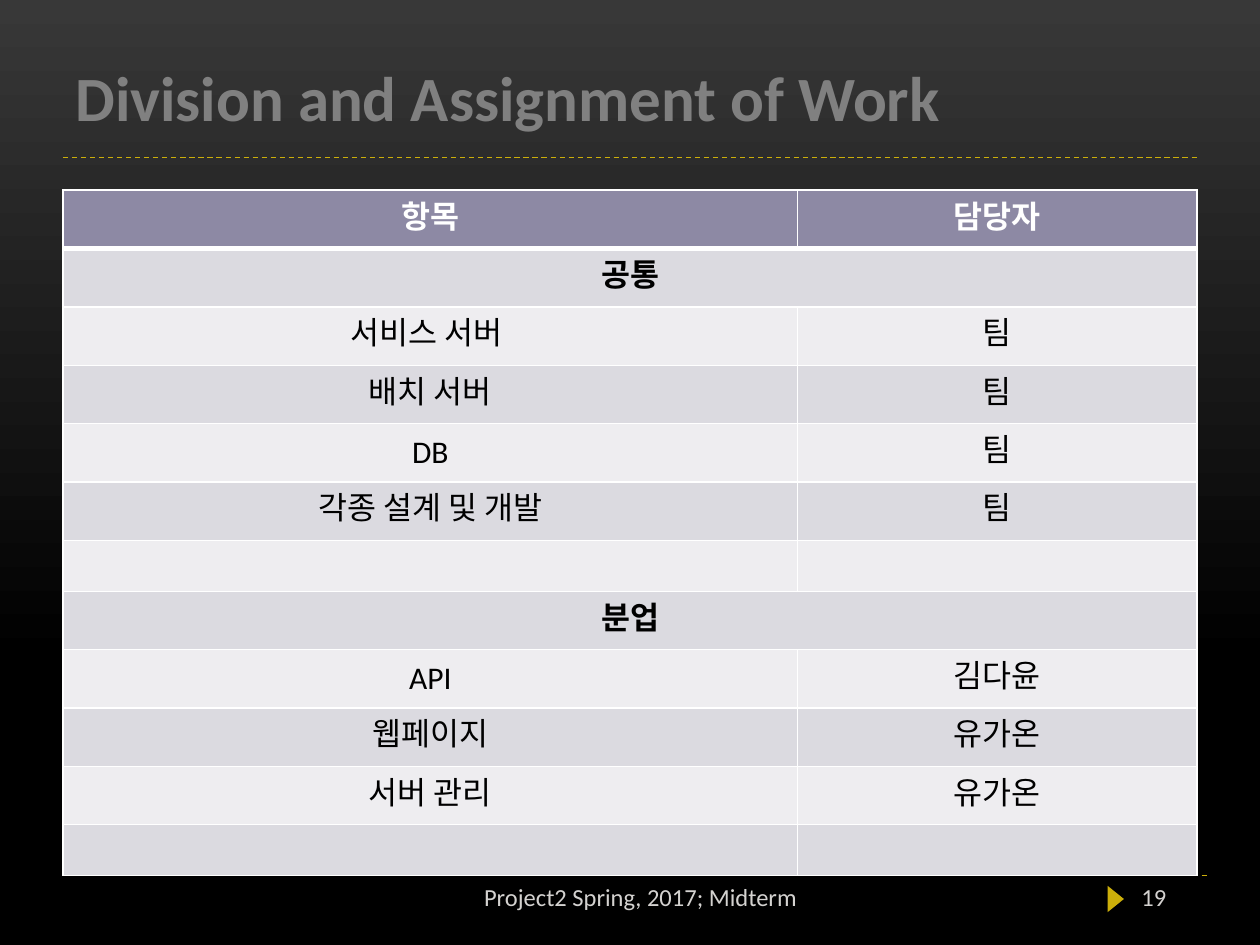
from dataclasses import dataclass

from lxml.etree import SubElement
from pptx import Presentation
from pptx.dml.color import RGBColor
from pptx.enum.dml import MSO_LINE
from pptx.enum.shapes import MSO_CONNECTOR, MSO_SHAPE
from pptx.enum.text import MSO_ANCHOR, PP_ALIGN
from pptx.oxml import parse_xml
from pptx.oxml.ns import nsdecls, qn
from pptx.util import Inches, Pt


@dataclass(frozen=True)
class Theme:
    font: str = "Calibri"
    title_size: int = 36
    cell_size: int = 18
    footer_size: int = 14
    title: str = "808080"
    footer: str = "D4D2D0"
    accent: str = "CCAF0A"
    header_fill: str = "8D89A4"
    bands: tuple = ("EEEDF0", "DBDAE0")
    light: str = "FFFFFF"
    dark: str = "000000"
    backdrop: tuple = ((0, "000000"), (30, "000000"), (100, "383838"))


THEME = Theme()
WIDTH, HEIGHT = 10, 7.5
MARGIN = 0.5
CONTENT = WIDTH - 2 * MARGIN
FOOTER_TOP = 6.95
TABLE_TOP = 1.51
TEXT_ROW = 0.463
EMPTY_ROW = 0.405
COLUMNS = (5.83, 3.17)
ASSIGNMENTS = (
    ("항목", "담당자"),
    ("공통",),
    ("서비스 서버 ", "팀"),
    ("배치 서버", "팀"),
    ("DB", "팀"),
    ("각종 설계 및 개발", "팀"),
    ("", ""),
    ("분업",),
    ("API", "김다윤"),
    ("웹페이지", "유가온"),
    ("서버 관리", "유가온"),
    ("", ""),
)


def color(value):
    return RGBColor.from_string(value)


def paint_background(page):
    fill = page.background.fill
    fill.gradient()
    fill.gradient_angle = 90
    stops = page.background._cSld.find(".//" + qn("a:gsLst"))
    for stop in list(stops):
        stops.remove(stop)
    for position, value in THEME.backdrop:
        stop = SubElement(stops, qn("a:gs"), pos=str(position * 1000))
        SubElement(stop, qn("a:srgbClr"), val=value)


def style_text(frame, text, size, value, bold=False, align=PP_ALIGN.LEFT):
    para = frame.paragraphs[0]
    para.text = text
    para.alignment = align
    para.font.name = THEME.font
    para.font.size = Pt(size)
    para.font.bold = bold
    para.font.color.rgb = color(value)


def add_text(page, place, text, size, value, anchor=MSO_ANCHOR.TOP, **style):
    frame = page.shapes.add_textbox(*map(Inches, place)).text_frame
    frame.word_wrap = True
    frame.vertical_anchor = anchor
    style_text(frame, text, size, value, **style)


def add_rule(page, left, top):
    ends = map(Inches, (left, top, left + CONTENT, top))
    rule = page.shapes.add_connector(MSO_CONNECTOR.STRAIGHT, *ends)
    rule.line.color.rgb = color(THEME.accent)
    rule.line.width = Pt(0.75)
    rule.line.dash_style = MSO_LINE.DASH
    SubElement(rule._element.spPr, qn("a:effectLst"))


def add_page_marker(page):
    place = map(Inches, (8.75, 7.07, 0.21, 0.13))
    marker = page.shapes.add_shape(MSO_SHAPE.ISOSCELES_TRIANGLE, *place)
    marker.rotation = 90
    marker.shadow.inherit = False
    marker.fill.solid()
    marker.fill.fore_color.rgb = color(THEME.accent)
    marker.line.fill.background()


def set_borders(cell, top, bottom):
    widths = {"lnL": 1, "lnR": 1, "lnT": top, "lnB": bottom}
    properties = cell._tc.get_or_add_tcPr()
    for index, (side, width) in enumerate(widths.items()):
        properties.insert(index, parse_xml(
            f'<a:{side} {nsdecls("a")} w="{Pt(width)}"><a:solidFill>'
            f'<a:srgbClr val="{THEME.light}"/></a:solidFill></a:{side}>'))


def style_cell(cell, row, text, bold):
    header = row == 0
    cell.vertical_anchor = MSO_ANCHOR.MIDDLE
    if text and not text.isascii():
        cell.margin_top, cell.margin_bottom = Inches(0.01), Inches(0.09)
    cell.fill.solid()
    cell.fill.fore_color.rgb = color(
        THEME.header_fill if header else THEME.bands[row % 2])
    set_borders(cell, top=3 if row == 1 else 1, bottom=3 if header else 1)
    style_text(cell.text_frame, text, THEME.cell_size,
               THEME.light if header else THEME.dark, bold, PP_ALIGN.CENTER)


def add_assignment_table(page):
    heights = [TEXT_ROW if any(entries) else EMPTY_ROW
               for entries in ASSIGNMENTS]
    place = (MARGIN, TABLE_TOP, CONTENT, sum(heights))
    table = page.shapes.add_table(
        len(ASSIGNMENTS), len(COLUMNS), *map(Inches, place)).table
    for column, width in zip(table.columns, COLUMNS):
        column.width = Inches(width)
    for row, entries in enumerate(ASSIGNMENTS):
        table.rows[row].height = Inches(heights[row])
        section = len(entries) == 1
        if section:
            table.cell(row, 0).merge(table.cell(row, len(COLUMNS) - 1))
        for column in range(len(COLUMNS)):
            text = entries[column] if column < len(entries) else ""
            style_cell(table.cell(row, column), row, text, section or row == 0)


def main():
    deck = Presentation()
    deck.slide_width, deck.slide_height = Inches(WIDTH), Inches(HEIGHT)
    page = deck.slides.add_slide(deck.slide_layouts[6])
    paint_background(page)
    add_rule(page, MARGIN + 0.08, FOOTER_TOP)
    add_rule(page, MARGIN, HEIGHT / 6)
    add_page_marker(page)
    add_text(page, (MARGIN, 0.4, CONTENT, 0.71),
             "Division and Assignment of Work", THEME.title_size, THEME.title,
             anchor=MSO_ANCHOR.BOTTOM, bold=True)
    add_assignment_table(page)
    add_text(page, (8.96, FOOTER_TOP, 0.75, 0.4), "19",
             THEME.footer_size, THEME.footer)
    add_text(page, (3.17, FOOTER_TOP, 3.83, 0.4),
             "Project2 Spring, 2017; Midterm", THEME.footer_size,
             THEME.footer, align=PP_ALIGN.CENTER)
    deck.save("out.pptx")


if __name__ == "__main__":
    main()
